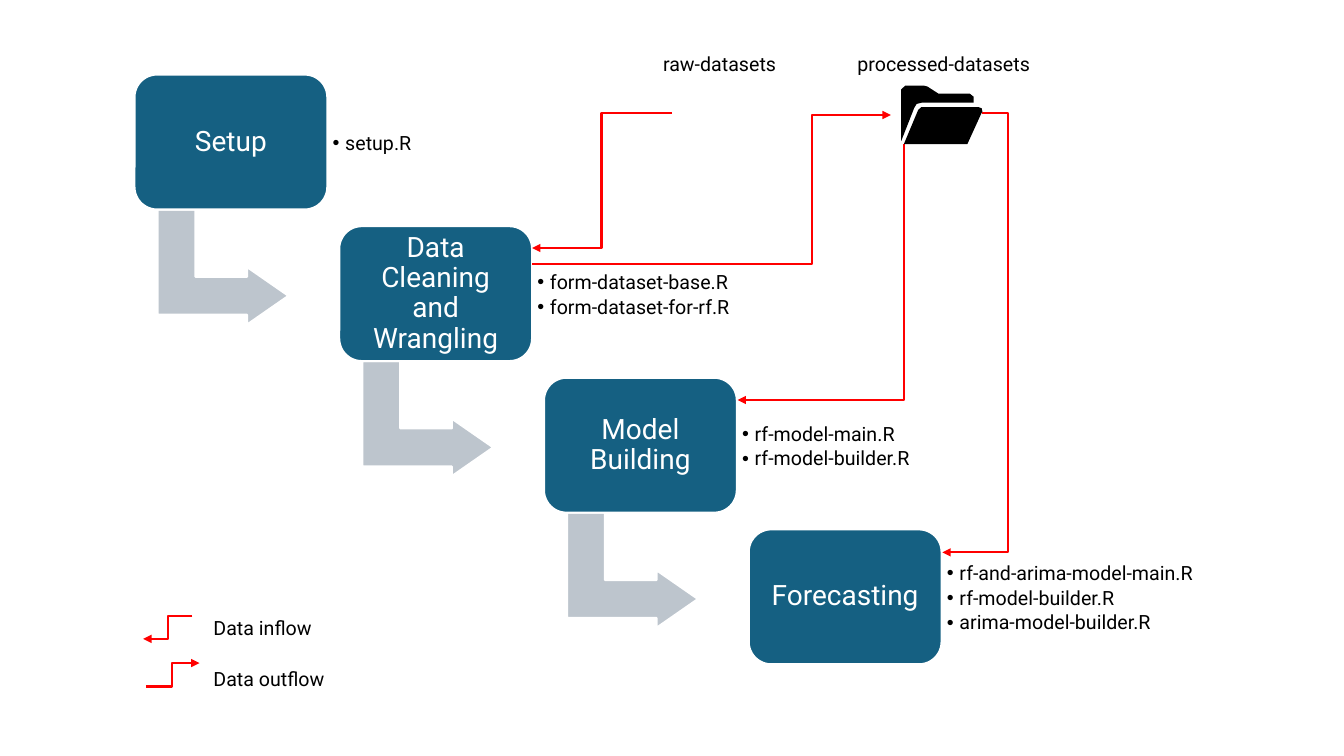
from dataclasses import dataclass

import pptx
import pptx.dml.color
import pptx.enum.shapes
import pptx.enum.text
import pptx.oxml.ns
import pptx.util
from lxml import etree

Cm = pptx.util.Cm
Pt = pptx.util.Pt
RGBColor = pptx.dml.color.RGBColor
Shapes = pptx.enum.shapes.MSO_SHAPE
Align = pptx.enum.text.PP_ALIGN
qn = pptx.oxml.ns.qn

BLUE = RGBColor(0x15, 0x60, 0x82)
GREY = RGBColor(0xBD, 0xC5, 0xCD)
RED = RGBColor(0xFF, 0x00, 0x00)
BLACK = RGBColor(0x00, 0x00, 0x00)
WHITE = RGBColor(0xFF, 0xFF, 0xFF)
FONT = "Roboto"
COMPARISON_LAYOUT = 4

FIRST_LEFT, FIRST_TOP = 3.39, 1.88
STEP_RIGHT, STEP_DOWN = 5.16, 3.82
BOX_WIDTH, BOX_HEIGHT = 4.86, 3.4


@dataclass
class Stage:
    title: str
    scripts: list[str]


@dataclass
class Label:
    text: str
    left: float
    top: float
    width: float = 4.22


@dataclass
class Flow:
    start: tuple[float, float]
    end: tuple[float, float]
    bend: float


STAGES = [
    Stage("Setup", ["setup.R"]),
    Stage("Data Cleaning and Wrangling", ["form-dataset-base.R", "form-dataset-for-rf.R"]),
    Stage("Model Building", ["rf-model-main.R", "rf-model-builder.R"]),
    Stage("Forecasting", ["rf-and-arima-model-main.R", "rf-model-builder.R", "arima-model-builder.R"]),
]
LABELS = [
    Label("raw-datasets", 16.46, 1.19),
    Label("processed-datasets", 21.36, 1.19, 5.28),
    Label("Data inflow", 5.13, 15.39),
    Label("Data outflow", 5.13, 16.69),
]
FLOWS = [
    Flow((13.41, 6.65), (22.45, 2.9), 20.47),
    Flow((16.94, 2.84), (13.41, 6.25), 15.16),
    Flow((22.78, 3.63), (18.59, 10.08), 22.78),
    Flow((24.74, 2.84), (23.75, 13.92), 25.4),
    Flow((4.85, 15.52), (3.61, 16.1), 4.24),
    Flow((3.68, 17.3), (5.03, 16.71), 4.34),
]
FOLDER_BACK = [
    (23.22, 2.59), (24.54, 2.59), (24.54, 2.44), (24.44, 2.36), (23.65, 2.36), (23.37, 2.18),
    (23.29, 2.16), (22.81, 2.16), (22.71, 2.26), (22.71, 3.56), (23.04, 2.72), (23.1, 2.62),
]
FOLDER_FRONT = [
    (24.76, 2.82), (24.74, 2.73), (24.66, 2.7), (23.22, 2.7),
    (23.14, 2.77), (22.78, 3.63), (24.38, 3.63), (24.74, 2.84),
]


def format_text(frame, size: float, color: RGBColor) -> None:
    for para in frame.paragraphs:
        for span in para.runs:
            span.font.name = FONT
            span.font.size = Pt(size)
            span.font.bold = False
            span.font.color.rgb = color


def set_margins(frame, margin: float) -> None:
    frame.margin_left = frame.margin_right = Cm(margin)
    frame.margin_top = frame.margin_bottom = Cm(margin)
    frame.vertical_anchor = pptx.enum.text.MSO_ANCHOR.MIDDLE
    frame.auto_size = pptx.enum.text.MSO_AUTO_SIZE.NONE
    frame.word_wrap = True


def paint(shape, fill: RGBColor) -> None:
    shape.shadow.inherit = False
    shape.fill.solid()
    shape.fill.fore_color.rgb = fill
    shape.line.color.rgb = WHITE
    shape.line.width = Pt(1.5)


def draw_step_arrow(page, left: float, top: float) -> None:
    arrow = page.shapes.add_shape(Shapes.BENT_UP_ARROW, Cm(left + 0.78), Cm(top + 3.2), Cm(2.9), Cm(3.3))
    arrow.rotation = 90
    for index, value in enumerate((0.33, 0.25, 0.36)):
        arrow.adjustments[index] = value
    paint(arrow, GREY)


def draw_stage_box(page, title: str, left: float, top: float) -> None:
    box = page.shapes.add_shape(
        Shapes.ROUNDED_RECTANGLE, Cm(left), Cm(top), Cm(BOX_WIDTH), Cm(BOX_HEIGHT)
    )
    paint(box, BLUE)
    frame = box.text_frame
    set_margins(frame, 0.38)
    frame.text = title
    para = frame.paragraphs[0]
    para.alignment = Align.CENTER
    para.line_spacing = 0.9
    para.space_after = Pt(7)
    format_text(frame, 20, WHITE)


def fill_script_list(body, scripts: list[str], left: float, top: float) -> None:
    body.left, body.top = Cm(left + 4.84), Cm(top + 0.38)
    body.width, body.height = Cm(8.26), Cm(2.74)
    frame = body.text_frame
    set_margins(frame, 0.15)
    frame.text = "\n".join(scripts)
    for para in frame.paragraphs:
        para.alignment = Align.LEFT
        para.line_spacing = 0.9
        para.space_before = Pt(0)
        para.space_after = Pt(2.4)
        properties = para._p.get_or_add_pPr()
        properties.set("marL", str(Cm(0.32)))
        properties.set("indent", str(-Cm(0.32)))
        etree.SubElement(properties, qn("a:buChar"), char="•")
    format_text(frame, 14, BLACK)


def draw_label(page, label: Label) -> None:
    box = page.shapes.add_textbox(Cm(label.left), Cm(label.top), Cm(label.width), Cm(0.86))
    box.text_frame.word_wrap = True
    box.text_frame.text = label.text
    format_text(box.text_frame, 14, BLACK)


def draw_flow(page, flow: Flow) -> None:
    (start_x, start_y), (end_x, end_y) = flow.start, flow.end
    connector = page.shapes.add_connector(
        pptx.enum.shapes.MSO_CONNECTOR.ELBOW, Cm(start_x), Cm(start_y), Cm(end_x), Cm(end_y)
    )
    connector.line.color.rgb = RED
    connector.line.width = Pt(1.5)
    properties = connector._element.spPr
    etree.SubElement(properties.find(qn("a:ln")), qn("a:tailEnd"), type="triangle")
    etree.SubElement(properties, qn("a:effectLst"))
    bend = round((flow.bend - start_x) / (end_x - start_x) * 100000)
    guides = properties.find(qn("a:prstGeom")).find(qn("a:avLst"))
    etree.SubElement(guides, qn("a:gd"), name="adj1", fmla=f"val {bend}")


def draw_folder_part(page, points: list[tuple[float, float]]) -> None:
    corners = [(Cm(x), Cm(y)) for x, y in points]
    builder = page.shapes.build_freeform(*corners[0])
    builder.add_line_segments(corners[1:], close=True)
    part = builder.convert_to_shape()
    paint(part, BLACK)
    part.line.fill.background()


def main() -> None:
    deck = pptx.Presentation()
    deck.slide_width, deck.slide_height = Cm(33.87), Cm(19.05)
    page = deck.slides.add_slide(deck.slide_layouts[COMPARISON_LAYOUT])
    title = page.shapes.title._element
    title.getparent().remove(title)

    for index, (stage, body) in enumerate(zip(STAGES, list(page.placeholders))):
        left = FIRST_LEFT + index * STEP_RIGHT
        top = FIRST_TOP + index * STEP_DOWN
        if index < len(STAGES) - 1:
            draw_step_arrow(page, left, top)
        draw_stage_box(page, stage.title, left, top)
        fill_script_list(body, stage.scripts, left, top)

    for label in LABELS:
        draw_label(page, label)
    for flow in FLOWS:
        draw_flow(page, flow)
    for points in (FOLDER_BACK, FOLDER_FRONT):
        draw_folder_part(page, points)
    deck.save("out.pptx")


if __name__ == "__main__":
    main()
